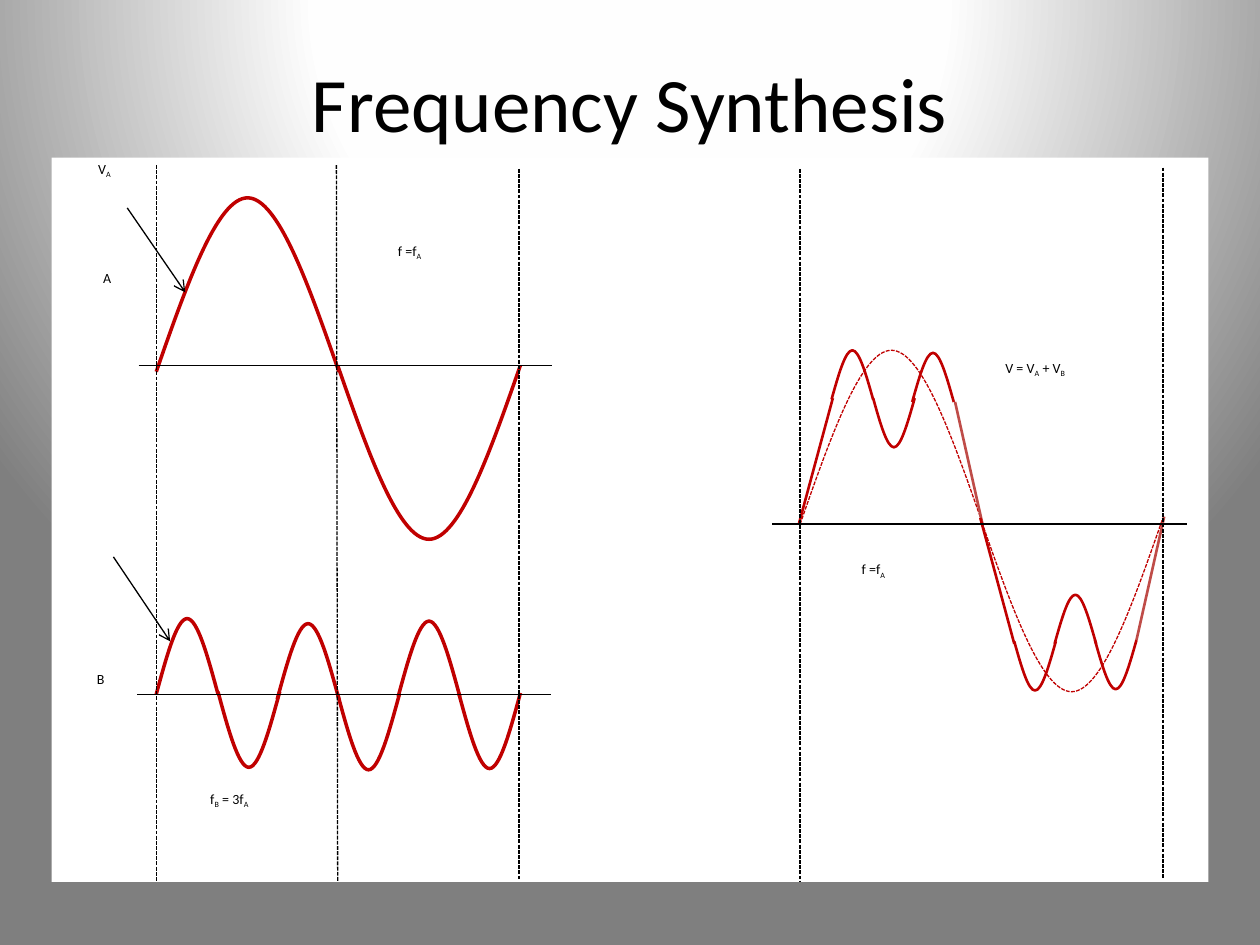
from lxml.etree import SubElement
from pptx import Presentation
from pptx.dml.color import RGBColor
from pptx.enum.dml import MSO_LINE
from pptx.enum.shapes import MSO_CONNECTOR, MSO_SHAPE
from pptx.enum.text import MSO_ANCHOR, PP_ALIGN
from pptx.oxml import parse_xml
from pptx.oxml.ns import nsdecls, qn
from pptx.util import Inches, Pt

BLACK = RGBColor(0x00, 0x00, 0x00)
WHITE = RGBColor(0xFF, 0xFF, 0xFF)
RED = RGBColor(0xC0, 0x00, 0x00)
SOFT_RED = RGBColor(0xBF, 0x4C, 0x48)


def add_line(x1, y1, x2, y2, color=BLACK, width=0.75, dashed=False, arrow=False):
    c = s.shapes.add_connector(MSO_CONNECTOR.STRAIGHT, Inches(x1), Inches(y1),
                               Inches(x2), Inches(y2))
    c.line.color.rgb = color
    c.line.width = Pt(width)
    if dashed:
        c.line.dash_style = MSO_LINE.SQUARE_DOT
    if arrow:
        SubElement(c.line._get_or_add_ln(), qn("a:tailEnd"), type="arrow")
    SubElement(c._element.spPr, qn("a:effectLst"))


def add_half_wave(x, y, w, h, width, dashed=False):
    """Half a period from (x, y); a negative h makes a crest, a positive one a trough."""
    builder = s.shapes.build_freeform(Inches(x), Inches(y))
    builder.add_line_segments([(Inches(x + w / 2), Inches(y + h)),
                               (Inches(x + w), Inches(y))], close=False)
    sp = builder.convert_to_shape()

    # Bend the two straight segments into cubic curves
    base, peak = (abs(h), 0) if h < 0 else (0, h)
    middle = abs(h) / 2
    curves = [[(w / 6, middle), (w / 3, peak), (w / 2, peak)],
              [(w * 2 / 3, peak), (w * 5 / 6, middle), (w, base)]]
    segments = list(sp._element.iter(qn("a:lnTo")))
    for segment, curve in zip(segments, curves):
        bend = SubElement(segment.getparent(), qn("a:cubicBezTo"))
        for px, py in curve:
            SubElement(bend, qn("a:pt"), x=str(Inches(px)), y=str(Inches(py)))
        segment.getparent().remove(segment)

    sp.shadow.inherit = False
    sp.fill.background()
    sp.line.color.rgb = RED
    sp.line.width = Pt(width)
    if dashed:
        sp.line.dash_style = MSO_LINE.SQUARE_DOT


prs = Presentation()
prs.slide_width, prs.slide_height = Inches(10), Inches(7.5)
s = prs.slides.add_slide(prs.slide_layouts[0])

# Background: spotlight from above
s._element.cSld.insert(0, parse_xml(
    f'<p:bg {nsdecls("p", "a")}><p:bgPr><a:gradFill rotWithShape="1"><a:gsLst>'
    '<a:gs pos="0"><a:srgbClr val="FFFFFF"/></a:gs>'
    '<a:gs pos="40000"><a:srgbClr val="FEFEFE"/></a:gs>'
    '<a:gs pos="100000"><a:srgbClr val="7F7F7F"/></a:gs></a:gsLst>'
    '<a:path path="circle"><a:fillToRect l="50000" t="-80000" r="50000" b="180000"/>'
    '</a:path></a:gradFill><a:effectLst/></p:bgPr></p:bg>'))

# White panel, behind the title
panel = s.shapes.add_shape(MSO_SHAPE.RECTANGLE, Inches(0.41), Inches(1.25),
                           Inches(9.18), Inches(5.75))
panel.shadow.inherit = False
panel.fill.solid()
panel.fill.fore_color.rgb = WHITE
panel.line.fill.background()
s.shapes._spTree.insert(2, panel._element)

# Title
subtitle = s.placeholders[1]._element
subtitle.getparent().remove(subtitle)
title = s.shapes.title
title.left, title.top = Inches(0.75), Inches(0)
title.width, title.height = Inches(8.5), Inches(1.61)
tf = title.text_frame
tf.vertical_anchor = MSO_ANCHOR.MIDDLE
p = tf.paragraphs[0]
p.alignment = PP_ALIGN.CENTER
r = p.add_run()
r.text = "Frequency Synthesis"
r.font.size = Pt(44)
r.font.name = "Calibri"
r.font.color.rgb = BLACK

# Waves A and B: x, y, width, height of each half period
for x, y, w, h in [
    (1.24, 2.95, 1.45, -1.38), (2.68, 2.9, 1.45, 1.38),
    (1.24, 5.51, 0.49, -0.6), (1.73, 5.49, 0.49, 0.6), (2.2, 5.55, 0.49, -0.6),
    (2.68, 5.51, 0.49, 0.6), (3.16, 5.53, 0.49, -0.6), (3.64, 5.5, 0.49, 0.6),
]:
    add_half_wave(x, y, w, h, 2)

# Sum V: dashed fundamental, then the ripples
for x, y, h in [(6.35, 4.16, -1.38), (7.78, 4.11, 1.38)]:
    add_half_wave(x, y, 1.45, h, 0.75, dashed=True)
for x, y, h in [
    (6.6, 3.17, -0.39), (6.93, 3.16, 0.39), (7.24, 3.19, -0.39),
    (8.05, 5.09, 0.39), (8.37, 5.11, -0.39), (8.69, 5.08, 0.39),
]:
    add_half_wave(x, y, 0.33, h, 1.5)

# Straight flanks of the sum
for x1, y1, x2, y2, color in [
    (6.61, 3.16, 6.34, 4.16, RED), (7.58, 3.19, 7.8, 4.17, SOFT_RED),
    (8.05, 5.11, 7.78, 4.11, RED), (9.02, 5.08, 9.24, 4.1, SOFT_RED),
]:
    add_line(x1, y1, x2, y2, color, 1.5)

# Horizontal axes
for x1, x2, y in [(1.1, 4.38, 2.9), (1.09, 4.37, 5.51), (6.13, 9.42, 4.16)]:
    add_line(x1, y, x2, y)

# Dashed period markers
for x1, y1, x2, y2 in [
    (1.24, 1.31, 1.24, 6.99), (2.67, 1.31, 2.68, 7), (4.12, 1.34, 4.12, 6.99),
    (6.35, 1.34, 6.35, 7), (9.23, 1.33, 9.23, 6.98),
]:
    add_line(x1, y1, x2, y2, dashed=True)

# Arrows to the waves
add_line(1.01, 1.65, 1.47, 2.32, arrow=True)
add_line(0.9, 4.42, 1.35, 5.09, arrow=True)

# Labels: every second run is a subscript
for x, y, w, runs in [
    (0.68, 1.2, 0.49, ["V", "A"]),
    (0.72, 2.07, 0.37, ["A"]),
    (0.67, 5.25, 0.37, ["B"]),
    (3.06, 1.85, 0.83, ["f =f", "A"]),
    (1.57, 6.2, 1.05, ["f", "B", " = 3f", "A"]),
    (6.74, 4.38, 0.83, ["f =f", "A"]),
    (7.88, 2.78, 1.45, ["V = V", "A", " + V", "B"]),
]:
    tf = s.shapes.add_textbox(Inches(x), Inches(y), Inches(w), Inches(0.72)).text_frame
    tf.word_wrap = True
    p = tf.paragraphs[0]
    p.line_spacing = 1.15
    p.space_after = Pt(10)
    for i, text in enumerate(runs):
        r = p.add_run()
        r.text = text
        r.font.size = Pt(8)
        r.font.name = "Calibri"
        r.font.color.rgb = BLACK
        if i % 2:
            r.font._element.set("baseline", "-25000")

prs.save("out.pptx")
